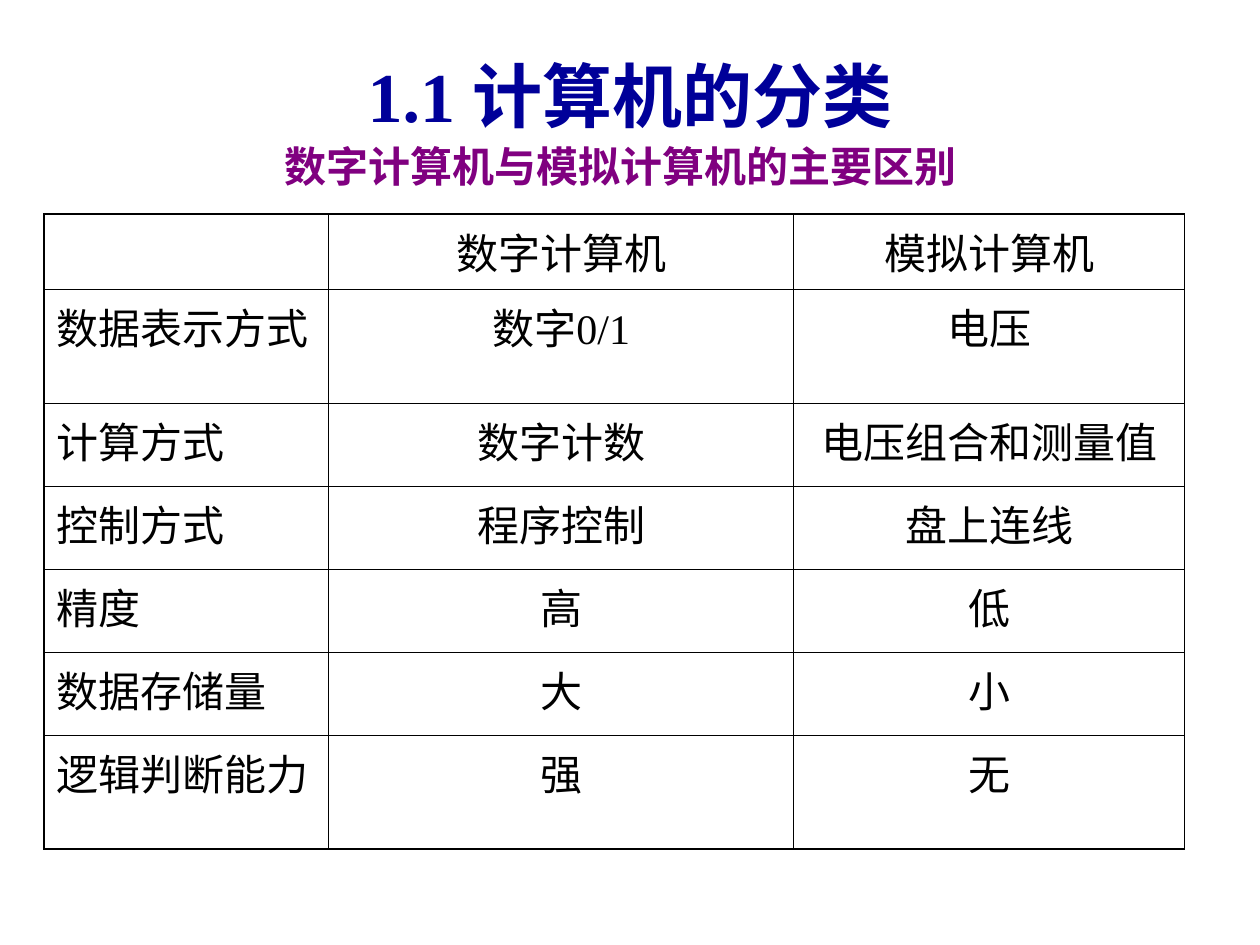
from lxml import etree
from pptx import Presentation
from pptx.dml.color import RGBColor
from pptx.enum.text import MSO_ANCHOR, PP_ALIGN
from pptx.oxml.ns import qn
from pptx.util import Inches, Pt

LEFT, CENTER = PP_ALIGN.LEFT, PP_ALIGN.CENTER
TOP, MIDDLE = MSO_ANCHOR.TOP, MSO_ANCHOR.MIDDLE

COLORS = {"title": "000099", "subtitle": "800080", "text": "000000",
          "border": "000000", "cell": "FFFFFF"}
OUTER_BORDER, INNER_BORDER = 1.08, 0.45

COLUMN_WIDTHS = [2.26, 3.69, 3.1]
ROW_HEIGHTS = [0.6, 0.9, 0.66, 0.66, 0.66, 0.66, 0.9]
COMPARISON = [
    ["", "数字计算机", "模拟计算机"],
    ["数据表示方式", "数字0/1", "电压"],
    ["计算方式", "数字计数", "电压组合和测量值"],
    ["控制方式", "程序控制", "盘上连线"],
    ["精度", "高", "低"],
    ["数据存储量", "大", "小"],
    ["逻辑判断能力", "强", "无"],
]


class SlideBuilder:
    font = "Times New Roman"
    body_size = 24

    def __init__(self, slide):
        self.slide = slide

    def add_run(self, paragraph, text, size, color, bold=False):
        run = paragraph.add_run()
        run.text = text
        run.font.name = self.font
        run.font.size = Pt(size)
        run.font.bold = bold
        run.font.color.rgb = RGBColor.from_string(COLORS[color])

    def add_text(self, box, text, size, color, alignment=LEFT, anchor=TOP):
        shape = self.slide.shapes.add_textbox(*map(Inches, box))
        frame = shape.text_frame
        frame.word_wrap = True
        frame.vertical_anchor = anchor
        paragraph = frame.paragraphs[0]
        paragraph.alignment = alignment
        self.add_run(paragraph, text, size, color, bold=True)

    def add_table(self, left, top, widths, heights, rows):
        shape = self.slide.shapes.add_table(
            len(rows), len(widths), Inches(left), Inches(top),
            Inches(sum(widths)), Inches(sum(heights)))
        table = shape.table
        table.first_row = table.horz_banding = False
        for column, width in zip(table.columns, widths):
            column.width = Inches(width)
        for row, height in zip(table.rows, heights):
            row.height = Inches(height)
        last_row, last_column = len(rows) - 1, len(widths) - 1
        for i, texts in enumerate(rows):
            for j, text in enumerate(texts):
                cell = table.cell(i, j)
                outer_sides = {"L": j == 0, "R": j == last_column,
                               "T": i == 0, "B": i == last_row}
                self.set_borders(cell, outer_sides)
                cell.fill.solid()
                cell.fill.fore_color.rgb = RGBColor.from_string(COLORS["cell"])
                if text:
                    paragraph = cell.text_frame.paragraphs[0]
                    paragraph.alignment = CENTER if j else LEFT
                    self.add_run(paragraph, text, self.body_size, "text")

    def set_borders(self, cell, outer_sides):
        """Draw each side, heavier where it lies on the table's outline."""
        properties = cell._tc.get_or_add_tcPr()
        for side, is_outer in outer_sides.items():
            width = Pt(OUTER_BORDER if is_outer else INNER_BORDER)
            line = etree.SubElement(properties, qn(f"a:ln{side}"), w=str(width))
            fill = etree.SubElement(line, qn("a:solidFill"))
            etree.SubElement(fill, qn("a:srgbClr"), val=COLORS["border"])


def main():
    presentation = Presentation()
    presentation.slide_width = Inches(10)
    presentation.slide_height = Inches(7.5)
    slide = presentation.slides.add_slide(presentation.slide_layouts[6])
    builder = SlideBuilder(slide)
    builder.add_text((0.33, 0.42, 9.34, 0.66), "1.1 计算机的分类", 40, "title",
                     CENTER, MIDDLE)
    builder.add_table(0.35, 1.7, COLUMN_WIDTHS, ROW_HEIGHTS, COMPARISON)
    builder.add_text((2.16, 1.07, 5.67, 0.5),
                     "数字计算机与模拟计算机的主要区别", 24, "subtitle")
    presentation.save("out.pptx")


if __name__ == "__main__":
    main()
